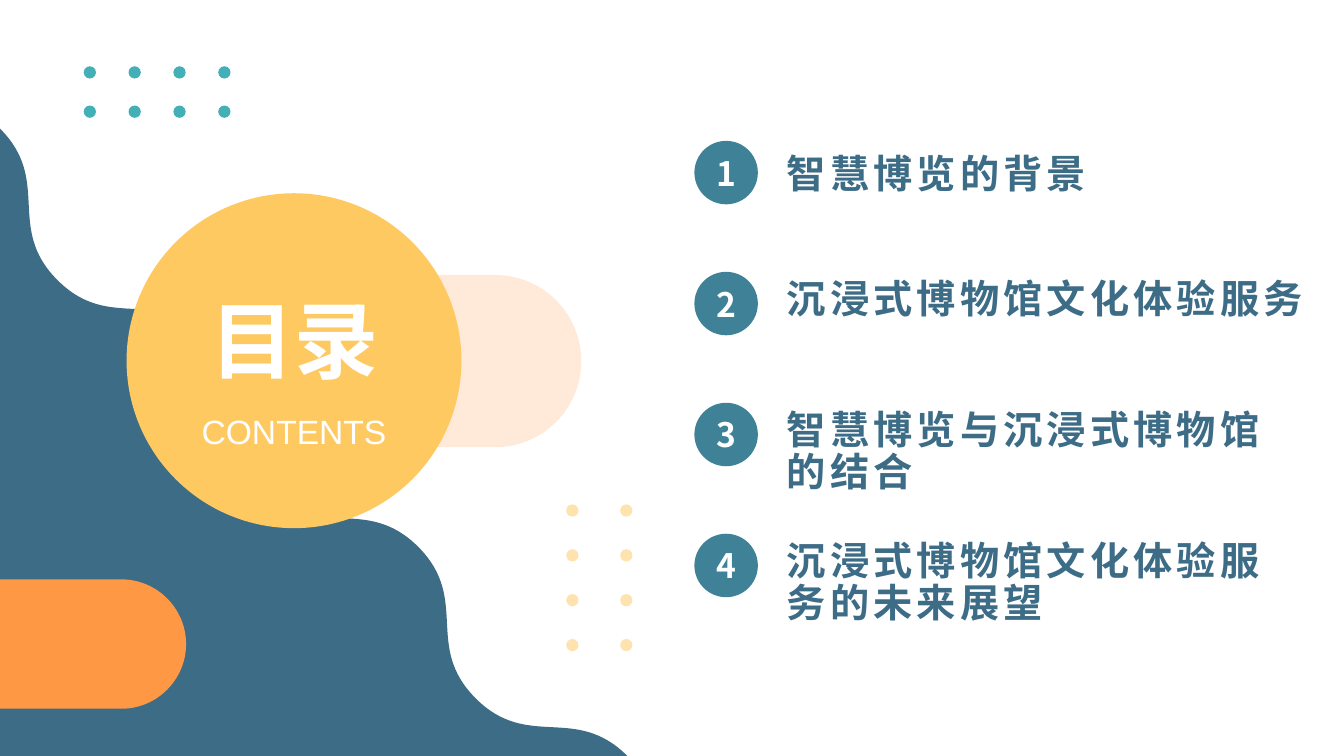
import pptx
import pptx.util
import pptx.dml.color
import pptx.enum.shapes
import pptx.enum.text
import pptx.oxml.ns
import lxml.etree

Cm = pptx.util.Cm
qn = pptx.oxml.ns.qn
SHAPES = pptx.enum.shapes.MSO_SHAPE
ANCHOR = pptx.enum.text.MSO_ANCHOR
ALIGN = pptx.enum.text.PP_ALIGN

WIDTH, HEIGHT = 33.87, 19.05
NAVY, TEAL, AQUA = "3D6C87", "3F8297", "43AFB6"
YELLOW, ORANGE, PEACH, WHITE = "FFC961", "FF9845", "FFEADA", "FFFFFF"
CJK_FONT = "Noto Sans CJK SC"
TOPICS = [
    "智慧博览的背景",
    "沉浸式博物馆文化体验服务",
    "智慧博览与沉浸式博物馆的结合",
    "沉浸式博物馆文化体验服务的未来展望",
]


def rgb(color):
    return pptx.dml.color.RGBColor.from_string(color)


def paint(shape, color, opacity=100):
    shape.shadow.inherit = False
    shape.fill.solid()
    shape.fill.fore_color.rgb = rgb(color)
    shape.line.fill.background()
    if opacity < 100:
        solid = shape.fill._xPr.find(qn("a:solidFill"))
        alpha = lxml.etree.SubElement(solid[0], qn("a:alpha"))
        alpha.set("val", str(opacity * 1000))


def add_filled(slide, preset, box, color, opacity=100):
    shape = slide.shapes.add_shape(preset, *map(Cm, box))
    paint(shape, color, opacity)
    return shape


def add_pill(slide, box, color):
    pill = add_filled(slide, SHAPES.ROUNDED_RECTANGLE, box, color)
    pill.adjustments[0] = 0.5
    return pill


def add_outline(slide, start, segments, color):
    """Draw a closed outline; a segment is one point (line) or three (curve)."""
    builder = slide.shapes.build_freeform(*map(Cm, start), scale=1.0)
    builder.add_line_segments(
        [tuple(map(Cm, segment[-1])) for segment in segments], close=True)
    shape = builder.convert_to_shape()
    steps = list(shape._element.iter(qn("a:lnTo")))
    for step, segment in zip(steps, segments):
        if len(segment) == 3:
            curve = lxml.etree.Element(qn("a:cubicBezTo"))
            for x, y in segment:
                lxml.etree.SubElement(curve, qn("a:pt"), x=str(Cm(x) - shape.left),
                                      y=str(Cm(y) - shape.top))
            step.getparent().replace(step, curve)
    paint(shape, color)


def write(shape, text, size, color, font, bold=False, align=ALIGN.LEFT,
          anchor=ANCHOR.TOP, tracking=0):
    """Fill a shape with one paragraph and return that paragraph."""
    frame = shape.text_frame
    frame.word_wrap = True
    frame.margin_left = frame.margin_right = 0
    frame.margin_top = frame.margin_bottom = 0
    frame.vertical_anchor = anchor
    frame.text = text
    paragraph = frame.paragraphs[0]
    paragraph.alignment = align
    run = paragraph.runs[0]
    run.font.size = pptx.util.Pt(size)
    run.font.bold = bold
    run.font.color.rgb = rgb(color)
    run.font.name = font
    properties = run.font._element
    east_asian = lxml.etree.Element(qn("a:ea"), typeface=font)
    properties.find(qn("a:latin")).addnext(east_asian)
    if tracking:
        properties.set("spc", str(tracking * 100))
    return paragraph


def add_wave(slide, top, short=1.45, long=3.82, handle=1.32):
    """Fill the lower left corner under six alternating S-curves."""
    x, y = 0, top
    segments = []
    for step in range(6):
        dx, dy = (short, long) if step % 2 == 0 else (long, short)
        end_x, end_y = x + dx, y + dy
        segments.append([(x + handle, y + handle),
                         (end_x - handle, end_y - handle), (end_x, end_y)])
        x, y = end_x, end_y
    segments.append([(0, HEIGHT)])
    add_outline(slide, (0, top), segments, NAVY)


def add_edge_tab(slide, left, top, width, height):
    """Draw a tab with a flat left side and a round right side."""
    radius = height / 2
    bend = radius * 0.55
    right, middle, bottom = left + width, top + radius, top + height
    straight = right - radius
    add_outline(slide, (left, top), [
        [(straight, top)],
        [(straight + bend, top), (right, middle - bend), (right, middle)],
        [(right, middle + bend), (straight + bend, bottom), (straight, bottom)],
        [(left, bottom)],
    ], ORANGE)


def add_dots(slide, left, top, columns, rows, gap_x, gap_y, color, opacity=100):
    for row in range(rows):
        for column in range(columns):
            box = (left + column * gap_x, top + row * gap_y, 0.31, 0.31)
            add_filled(slide, SHAPES.OVAL, box, color, opacity)


def add_heading(slide, left, top, diameter):
    add_filled(slide, SHAPES.OVAL, (left, top, diameter, diameter), YELLOW)
    inset = 0.21
    width = diameter - 2 * inset
    title = slide.shapes.add_textbox(
        *map(Cm, (left + inset, top + 1.94, width, 3)))
    write(title, "目录", 60, WHITE, "Arial", True, ALIGN.CENTER, ANCHOR.BOTTOM)
    subtitle = slide.shapes.add_textbox(
        *map(Cm, (left + inset, top + 5.19, width, 1.4)))
    line = write(subtitle, "CONTENTS", 24, WHITE, "Arial", align=ALIGN.CENTER)
    line.line_spacing = 1.3
    line.space_before = pptx.util.Pt(10)


def add_topics(slide, left, top, pitch):
    for index, topic in enumerate(TOPICS):
        y = top + index * pitch
        badge = add_pill(slide, (left, y, 1.6, 1.6), TEAL)
        write(badge, str(index + 1), 24, WHITE, CJK_FONT, True,
              ALIGN.CENTER, ANCHOR.MIDDLE)
        drop = 0.2 if index else 0.22
        label = slide.shapes.add_textbox(
            *map(Cm, (left + 2.33, y + drop, 13.01, 2.29)))
        line = write(label, topic, 28, NAVY, CJK_FONT, True, tracking=3)
        if index:
            line.line_spacing = 0.9


def main():
    deck = pptx.Presentation()
    deck.slide_width, deck.slide_height = Cm(WIDTH), Cm(HEIGHT)
    slide = deck.slides.add_slide(deck.slide_layouts[6])
    add_wave(slide, 3.24)
    add_pill(slide, (7.82, 6.93, 6.83, 4.34), PEACH)
    add_dots(slide, 14.27, 12.71, 2, 4, 1.36, 1.13, YELLOW, 50)
    add_heading(slide, 3.19, 4.87, 8.44)
    add_dots(slide, 2.11, 1.67, 4, 2, 1.13, 0.99, AQUA)
    add_edge_tab(slide, 0, 14.6, 4.69, 3.26)
    add_topics(slide, 17.5, 3.55, 3.3)
    deck.save("out.pptx")


if __name__ == "__main__":
    main()
